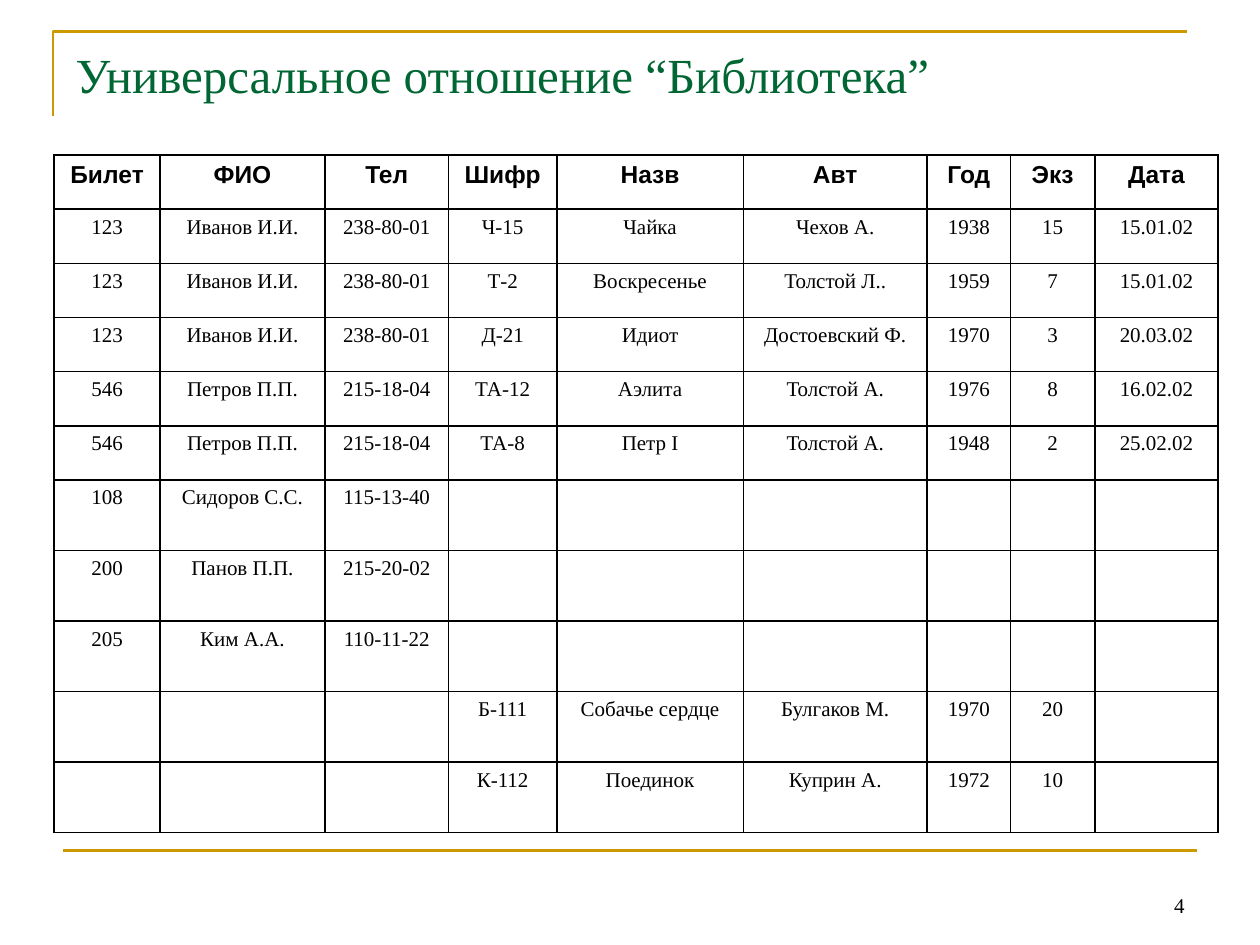
from dataclasses import dataclass

from lxml import etree
from pptx import Presentation
from pptx import util as u
from pptx.dml.color import RGBColor
from pptx.enum import shapes, text
from pptx.oxml.ns import qn


@dataclass(frozen=True)
class Theme:
    """Colours, fonts and type sizes of the slide."""
    ink: str = "000000"
    green: str = "006633"
    gold: str = "CC9900"
    serif: str = "Times New Roman"
    sans: str = "Arial"
    title_size: int = 28
    head_size: int = 14
    body_size: int = 12
    rule_width: float = 1.5
    grid_width: float = 1


COLUMN_WIDTHS = [0.84, 1.31, 0.98, 0.86, 1.48, 1.46, 0.66, 0.67, 0.98]
ROW_HEIGHTS = [0.43] * 6 + [0.56] * 5
IVANOV = ["123", "Иванов И.И.", "238-80-01"]
PETROV = ["546", "Петров П.П.", "215-18-04"]
NO_READER = [""] * 3
NO_LOAN = [""] * 6
LIBRARY = [
    ["Билет", "ФИО", "Тел", "Шифр", "Назв", "Авт", "Год", "Экз", "Дата"],
    IVANOV + ["Ч-15", "Чайка", "Чехов А.", "1938", "15", "15.01.02"],
    IVANOV + ["Т-2", "Воскресенье", "Толстой Л..", "1959", "7", "15.01.02"],
    IVANOV + ["Д-21", "Идиот", "Достоевский Ф.", "1970", "3", "20.03.02"],
    PETROV + ["ТА-12", "Аэлита", "Толстой А.", "1976", "8", "16.02.02"],
    PETROV + ["ТА-8", "Петр I", "Толстой А.", "1948", "2", "25.02.02"],
    ["108", "Сидоров С.С.", "115-13-40"] + NO_LOAN,
    ["200", "Панов П.П.", "215-20-02"] + NO_LOAN,
    ["205", "Ким А.А.", "110-11-22"] + NO_LOAN,
    NO_READER + ["Б-111", "Собачье сердце", "Булгаков М.", "1970", "20", ""],
    NO_READER + ["К-112", "Поединок", "Куприн А.", "1972", "10", ""],
]


class SlideBuilder:
    """Holds the theme and the current slide."""

    def __init__(self, deck, theme):
        """Add a title-only slide to the deck."""
        self.theme = theme
        self.slide = deck.slides.add_slide(deck.slide_layouts[5])

    def add_words(self, frame, words, align, **font):
        """Put one formatted paragraph into a text frame."""
        para = frame.paragraphs[0]
        para.alignment = align
        span = para.add_run()
        span.text = words
        style = {"name": self.theme.serif, "size": self.theme.body_size,
                 "bold": False, "color": self.theme.ink, **font}
        span.font.color.rgb = RGBColor.from_string(style.pop("color"))
        style["size"] = u.Pt(style["size"])
        for name, value in style.items():
            setattr(span.font, name, value)

    def title(self, words, left, top, width, height):
        """Move, format and fill the title placeholder."""
        box = self.slide.shapes.title
        places = {"left": left, "top": top, "width": width, "height": height}
        for name, value in places.items():
            setattr(box, name, u.Inches(value))
        frame = box.text_frame
        settings = {"word_wrap": True, "auto_size": text.MSO_AUTO_SIZE.NONE,
                    "vertical_anchor": text.MSO_ANCHOR.TOP}
        for name, value in settings.items():
            setattr(frame, name, value)
        self.add_words(frame, words, text.PP_ALIGN.LEFT,
                       size=self.theme.title_size, color=self.theme.green)

    def stroke(self, line):
        """Give a line the gold rule style."""
        line.color.rgb = RGBColor.from_string(self.theme.gold)
        line.width = u.Pt(self.theme.rule_width)

    def rule(self, *ends):
        """Draw a straight gold line."""
        line = self.slide.shapes.add_connector(
            shapes.MSO_CONNECTOR.STRAIGHT, *map(u.Inches, ends))
        self.stroke(line.line)
        etree.SubElement(line._element.find(qn("p:spPr")),
                         qn("a:effectLst"))

    def corner(self, *points):
        """Draw an open gold outline through the given points."""
        start, *others = [tuple(map(u.Inches, point)) for point in points]
        outline = self.slide.shapes.build_freeform(*start)
        outline.add_line_segments(others, close=False)
        shape = outline.convert_to_shape()
        shape.shadow.inherit = False
        shape.fill.background()
        self.stroke(shape.line)

    def border(self, cell):
        """Draw the four borders of a table cell."""
        properties = cell._tc.get_or_add_tcPr()
        for index, side in enumerate(("lnL", "lnR", "lnT", "lnB")):
            edge = etree.Element(qn("a:" + side),
                                 w=str(u.Pt(self.theme.grid_width)))
            fill = etree.SubElement(edge, qn("a:solidFill"))
            etree.SubElement(fill, qn("a:srgbClr"), val=self.theme.ink)
            properties.insert(index, edge)

    def table(self, rows, widths, heights, left, top):
        """Add a bordered table with a bold first row."""
        frame = self.slide.shapes.add_table(
            len(rows), len(widths), u.Inches(left), u.Inches(top),
            u.Inches(sum(widths)), u.Inches(sum(heights)))
        table = frame.table
        table.first_row = table.horz_banding = False
        for column, width in zip(table.columns, widths):
            column.width = u.Inches(width)
        for row, height in zip(table.rows, heights):
            row.height = u.Inches(height)
        head = {"name": self.theme.sans, "size": self.theme.head_size,
                "bold": True}
        for r, row in enumerate(rows):
            for c, words in enumerate(row):
                cell = table.cell(r, c)
                cell.fill.background()
                self.border(cell)
                if words:
                    self.add_words(cell.text_frame, words,
                                   text.PP_ALIGN.CENTER,
                                   **({} if r else head))

    def page_number(self, words, *place):
        """Add the page number at the bottom right."""
        box = self.slide.shapes.add_textbox(*map(u.Inches, place))
        box.text_frame.word_wrap = True
        box.text_frame.vertical_anchor = text.MSO_ANCHOR.BOTTOM
        self.add_words(box.text_frame, words, text.PP_ALIGN.RIGHT)


def main():
    """Build the slide and save the deck."""
    deck = Presentation()
    deck.slide_width, deck.slide_height = u.Inches(10), u.Inches(7.5)
    page = SlideBuilder(deck, Theme())
    page.corner((0.42, 0.92), (0.42, 0.25), (9.42, 0.25))
    page.rule(0.5, 6.75, 9.5, 6.75)
    page.title("Универсальное отношение “Библиотека”", 0.5, 0.3, 9, 1.25)
    page.table(LIBRARY, COLUMN_WIDTHS, ROW_HEIGHTS, 0.43, 1.23)
    page.page_number("4", 7.17, 6.83, 2.33, 0.5)
    deck.save("out.pptx")


main()
